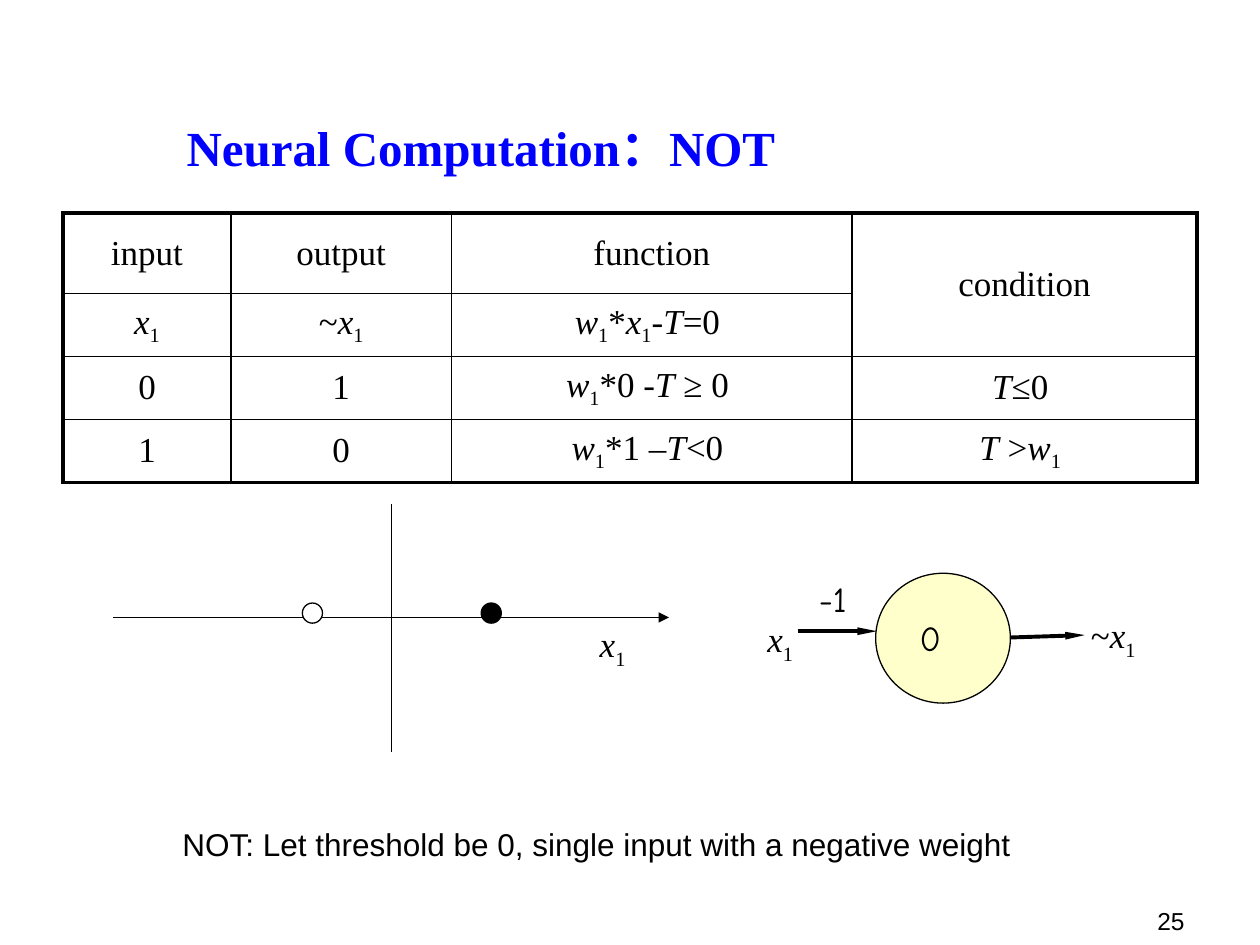
"""Build the slide on neural computation of the NOT function."""
from itertools import groupby

from lxml import etree
from pptx import Presentation
from pptx.dml.color import RGBColor
from pptx.enum.shapes import MSO_CONNECTOR, MSO_SHAPE
from pptx.enum.text import MSO_ANCHOR, MSO_AUTO_SIZE, PP_ALIGN
from pptx.oxml.ns import qn
from pptx.util import Pt

BLACK = RGBColor(0x00, 0x00, 0x00)
WHITE = RGBColor(0xFF, 0xFF, 0xFF)
BLUE = RGBColor(0x00, 0x00, 0xFF)
CREAM = RGBColor(0xFF, 0xFF, 0xCC)
LEFT, CENTER, RIGHT = PP_ALIGN.LEFT, PP_ALIGN.CENTER, PP_ALIGN.RIGHT
MIDDLE = MSO_ANCHOR.MIDDLE
NO_AUTOFIT = MSO_AUTO_SIZE.NONE
STRAIGHT, OVAL = MSO_CONNECTOR.STRAIGHT, MSO_SHAPE.OVAL

TITLE_FONT = {"name": "Times New Roman", "size": Pt(28), "bold": True}
MATH_FONT = {"name": "Times New Roman", "size": Pt(20), "bold": False}
HAND_FONT = {"name": "Comic Neue", "size": Pt(20)}
CAPTION_FONT = {"name": "Arial", "size": Pt(18)}
NUMBER_FONT = {"name": "Arial", "size": Pt(14)}
NO_INSETS = {"margin_left": 0, "margin_right": 0, "margin_top": 0, "margin_bottom": 0}

COLUMN_WIDTHS = (96, 126, 229, 197)
ROW_HEIGHTS = (46, 36, 36, 36)
THIN, THICK = 1, 2.25
TRUTH_TABLE = (
    ("input", "output", "function", "condition"),
    ("x_1", "~x_1", "w_1*x_1-T=0 ", ""),
    ("0", "1", "w_1*0 -T ≥ 0 ", "T≤0 "),
    ("1", "0", "w_1*1 –T<0 ", "T >w_1 "),
)


def apply_format(target, values):
    """Set each attribute named in values on the target."""
    for name, value in values.items():
        setattr(target, name, value)


def add_run(paragraph, text, font, color=BLACK):
    """Add a formatted run to the paragraph and return it."""
    run = paragraph.add_run()
    run.text = text
    apply_format(run.font, font)
    run.font.color.rgb = color
    return run


def add_formula(paragraph, formula):
    """Write variables in italics and each character after _ as a subscript."""
    styled = []
    for index, char in enumerate(formula):
        if char != "_":
            lowered = index > 0 and formula[index - 1] == "_"
            styled.append((char, char in "xwT", lowered))
    for (italic, lowered), chars in groupby(styled, key=lambda item: item[1:]):
        text = "".join(item[0] for item in chars)
        run = add_run(paragraph, text, {**MATH_FONT, "italic": italic})
        if lowered:
            run._r.get_or_add_rPr().set("baseline", "-25000")


def add_label(slide, box, text, font=None, align=LEFT, frame_format=None):
    """Add a text box, treating its text as a formula when no font is given."""
    frame = slide.shapes.add_textbox(*map(Pt, box)).text_frame
    apply_format(frame, {"word_wrap": True, **(frame_format or {})})
    paragraph = frame.paragraphs[0]
    paragraph.alignment = align
    if font:
        add_run(paragraph, text, font)
    else:
        add_formula(paragraph, text)


def add_circle(slide, box, color):
    """Add a thinly outlined ellipse."""
    circle = slide.shapes.add_shape(OVAL, *map(Pt, box))
    circle.shadow.inherit = False
    circle.fill.solid()
    circle.fill.fore_color.rgb = color
    circle.line.color.rgb = BLACK
    circle.line.width = Pt(0.75)


def add_line(slide, ends, width=0.75, head=None):
    """Add a straight line, with an arrowhead of the given width and length."""
    line = slide.shapes.add_connector(STRAIGHT, *map(Pt, ends))
    line.line.color.rgb = BLACK
    line.line.width = Pt(width)
    if head:
        etree.SubElement(line.line._get_or_add_ln(), qn("a:tailEnd"),
                         type="triangle", w=head[0], len=head[1])
    etree.SubElement(line._element.spPr, qn("a:effectLst"))


def set_borders(cell, widths):
    """Draw the left, right, top and bottom borders of a cell."""
    properties = cell._tc.get_or_add_tcPr()
    for index, (side, width) in enumerate(zip("LRTB", widths)):
        border = etree.Element(qn(f"a:ln{side}"), w=str(Pt(width)))
        fill = etree.SubElement(border, qn("a:solidFill"))
        etree.SubElement(fill, qn("a:srgbClr"), val=str(BLACK))
        properties.insert(index, border)


def add_truth_table(slide):
    """Add the table of inputs, outputs, functions and conditions."""
    last_row, last_column = len(ROW_HEIGHTS) - 1, len(COLUMN_WIDTHS) - 1
    table = slide.shapes.add_table(
        len(ROW_HEIGHTS), len(COLUMN_WIDTHS), Pt(36), Pt(121.7),
        Pt(sum(COLUMN_WIDTHS)), Pt(sum(ROW_HEIGHTS))).table
    apply_format(table, {"first_row": False, "horz_banding": False})
    for column, width in zip(table.columns, COLUMN_WIDTHS):
        column.width = Pt(width)
    for row, height in zip(table.rows, ROW_HEIGHTS):
        row.height = Pt(height)
    table.cell(0, last_column).merge(table.cell(1, last_column))
    for r, formulas in enumerate(TRUTH_TABLE):
        for c, formula in enumerate(formulas):
            cell = table.cell(r, c)
            cell.vertical_anchor = MIDDLE
            cell.fill.background()
            outer = (c == 0, c == last_column, r == 0, r == last_row)
            set_borders(cell, [THICK if edge else THIN for edge in outer])
            paragraph = cell.text_frame.paragraphs[0]
            paragraph.alignment = CENTER
            add_formula(paragraph, formula)


def add_title(slide):
    """Place and format the title."""
    title = slide.shapes.title
    apply_format(title, {"left": Pt(99.4), "top": Pt(65.5),
                         "width": Pt(597.6), "height": Pt(36.7)})
    apply_format(title.text_frame, {"vertical_anchor": MIDDLE, "word_wrap": True,
                                    "auto_size": NO_AUTOFIT})
    paragraph = title.text_frame.paragraphs[0]
    paragraph.alignment = LEFT
    add_run(paragraph, "Neural Computation：NOT", TITLE_FONT, BLUE)


def add_input_axes(slide):
    """Draw the input axis with its two marked points."""
    add_line(slide, (64.8, 352.8, 382.3, 352.8), head=("med", "med"))
    add_label(slide, (342.7, 355.7, 43.9, 25.2), "x_1", frame_format=NO_INSETS)
    for left, color in ((275, BLACK), (172.8, WHITE)):
        add_circle(slide, (left, 344.6, 11.5, 11.5), color)
    add_line(slide, (223.9, 288, 223.9, 429.8))


def add_neuron(slide):
    """Draw the neuron with its weighted input and its output."""
    add_circle(slide, (500.4, 327.6, 77, 74.2), CREAM)
    for ends in ((455.8, 360.7, 501.1, 360.7), (577.4, 364.3, 619.9, 362.9)):
        add_line(slide, ends, THICK, ("sm", "lg"))
    add_label(slide, (438.5, 352.8, 43.9, 25.9), "x_1", frame_format=NO_INSETS)
    add_label(slide, (518.4, 348.5, 56.2, 31), "0", HAND_FONT)
    add_label(slide, (460.8, 326.2, 48.2, 31), "-1", HAND_FONT)
    add_label(slide, (616.3, 347, 54.7, 31.7), "~x_1")


def main():
    """Build and save the slide."""
    deck = Presentation()
    apply_format(deck, {"slide_width": Pt(720), "slide_height": Pt(540)})
    slide = deck.slides.add_slide(deck.slide_layouts[5])
    add_title(slide)
    add_truth_table(slide)
    add_input_axes(slide)
    add_neuron(slide)
    add_label(slide, (97.2, 468, 489.6, 28.8),
              "NOT: Let threshold be 0, single input with a negative weight",
              CAPTION_FONT, frame_format={"word_wrap": False})
    add_label(slide, (427.7, 514.1, 256.3, 17.3), "25", NUMBER_FONT, RIGHT)
    deck.save("out.pptx")


if __name__ == "__main__":
    main()
